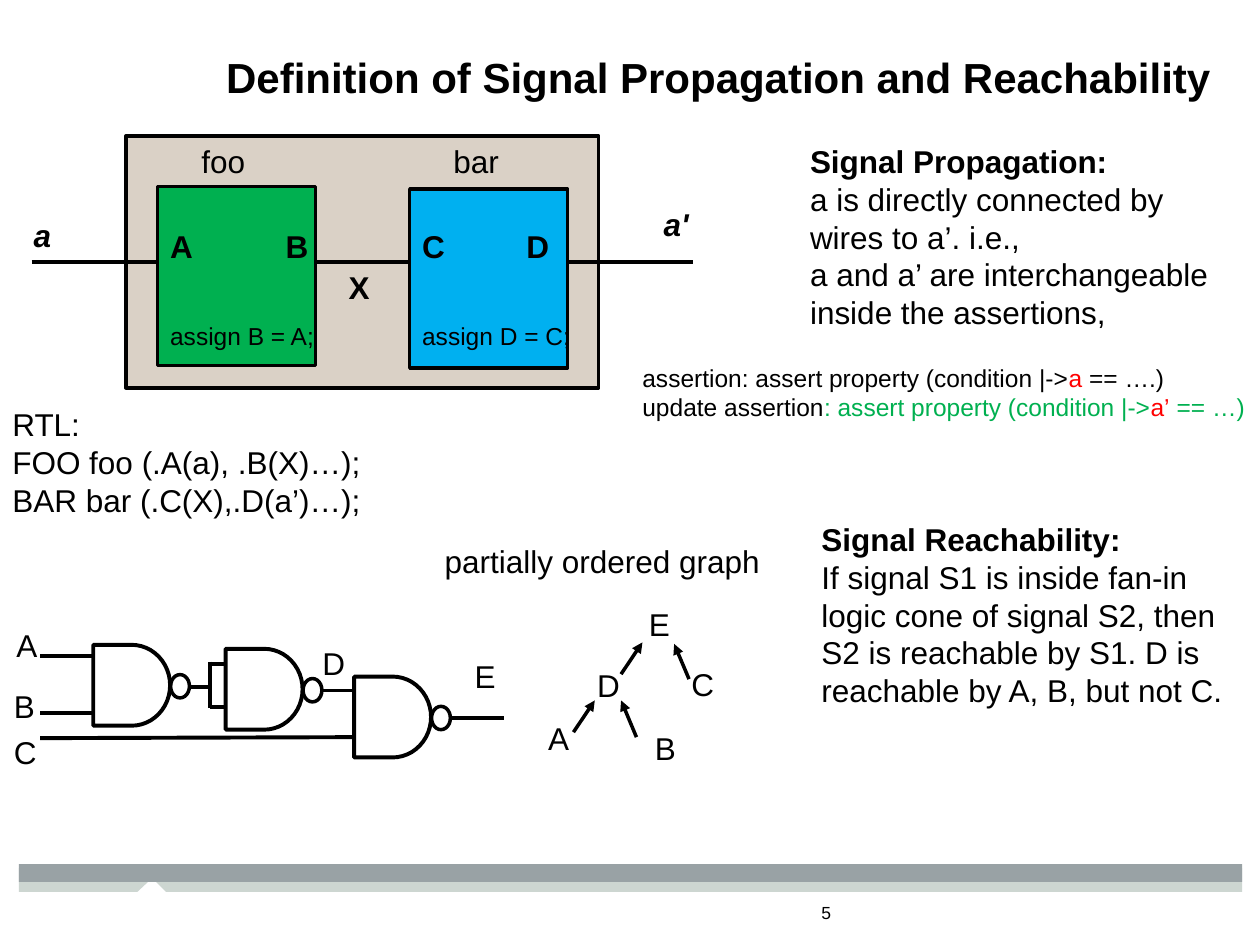
"""Build the slide on signal propagation and reachability."""
from dataclasses import dataclass

from lxml.etree import SubElement
from pptx import Presentation
from pptx.dml.color import RGBColor
from pptx.enum.shapes import MSO_CONNECTOR as Link, MSO_SHAPE as Form
from pptx.enum.text import MSO_AUTO_SIZE as Fit, PP_ALIGN as Align
from pptx.oxml.ns import qn
from pptx.util import Cm, Pt

COLORS = {
    "black": "000000", "red": "FF0000", "green": "00B050", "blue": "00B0F0",
    "sand": "DAD1C6", "bar": "99A2A5", "band": "CDD6D1",
}


@dataclass
class Span:
    text: str
    color: str = "black"
    bold: bool = False
    italic: bool = False


@dataclass
class Label:
    left: float
    top: float
    width: float
    height: float
    lines: list[list[Span]]
    size: float = 18
    align: Align = Align.LEFT
    spacing: float = 1.0
    right_inset: float = 0.25


@dataclass
class Block:
    left: float
    top: float
    width: float
    height: float
    fill: str | None = None
    line: float | None = 2
    form: Form = Form.RECTANGLE


@dataclass
class Wire:
    x1: float
    y1: float
    x2: float
    y2: float
    weight: float = 2.25
    arrow: bool = False


def color(name: str) -> RGBColor:
    """Look up a named colour."""
    return RGBColor.from_string(COLORS[name])


def draw_label(page, label: Label) -> None:
    """Add a text box, run by run."""
    box = page.shapes.add_textbox(
        Cm(label.left), Cm(label.top), Cm(label.width), Cm(label.height))
    frame = box.text_frame
    frame.word_wrap = True
    frame.auto_size = Fit.NONE
    frame.margin_right = Cm(label.right_inset)
    for index, spans in enumerate(label.lines):
        para = frame.add_paragraph() if index else frame.paragraphs[0]
        para.alignment = label.align
        para.line_spacing = label.spacing
        for span in spans:
            run = para.add_run()
            run.text = span.text
            run.font.name = "Arial"
            run.font.size = Pt(label.size)
            run.font.bold = span.bold
            run.font.italic = span.italic
            run.font.color.rgb = color(span.color)


def draw_block(page, block: Block) -> None:
    """Add a preset shape."""
    shape = page.shapes.add_shape(
        block.form, Cm(block.left), Cm(block.top), Cm(block.width), Cm(block.height))
    shape.shadow.inherit = False
    if block.fill:
        shape.fill.solid()
        shape.fill.fore_color.rgb = color(block.fill)
    else:
        shape.fill.background()
    if block.line:
        shape.line.color.rgb = color("black")
        shape.line.width = Pt(block.line)
    else:
        shape.line.fill.background()


def draw_wire(page, wire: Wire) -> None:
    """Add a straight line, with an arrowhead at its end if asked."""
    link = page.shapes.add_connector(
        Link.STRAIGHT, Cm(wire.x1), Cm(wire.y1), Cm(wire.x2), Cm(wire.y2))
    link.line.color.rgb = color("black")
    link.line.width = Pt(wire.weight)
    if wire.arrow:
        SubElement(link.line._get_or_add_ln(), qn("a:tailEnd"), type="triangle")
    SubElement(link._element.spPr, qn("a:effectLst"))


def draw_gate(page, left: float, top: float) -> None:
    """Add a NAND gate: its body and its output bubble."""
    draw_block(page, Block(left, top, 1.55, 1.63, line=2.25, form=Form.FLOWCHART_DELAY))
    draw_block(page, Block(left + 1.56, top + 0.6, 0.38, 0.47, form=Form.OVAL))


def draw_band(page, left: float, right: float, notch: float) -> None:
    """Add a footer band with a notch in its lower edge."""
    top, bottom = 17.5, 17.98
    points = [(right, top), (right, bottom), (notch + 0.28, bottom), (notch, 17.7),
              (notch - 0.3, bottom), (left, bottom), (left, top)]
    corners = [(Cm(x), Cm(y)) for x, y in points]
    builder = page.shapes.build_freeform(*corners[0], scale=1.0)
    builder.add_line_segments(corners[1:], close=True)
    band = builder.convert_to_shape()
    band.shadow.inherit = False
    band.fill.solid()
    band.fill.fore_color.rgb = color("band")
    band.line.fill.background()


def plain(*texts: str) -> list[list[Span]]:
    """Make one plain line of each text."""
    return [[Span(text)] for text in texts]


def headed(heading: str, *texts: str) -> list[list[Span]]:
    """Make a bold heading followed by plain lines."""
    return [[Span(heading, bold=True)], *plain(*texts)]


BLOCKS = [
    Block(2.54, 2.74, 9.53, 5.08, "sand"),
    Block(3.18, 3.76, 3.18, 3.61, "green"),
    Block(8.26, 3.81, 3.18, 3.61, "blue"),
]
GATES = [(1.88, 13.0), (4.55, 13.08), (7.14, 13.64)]
WIRES = [
    *(Wire(x1, 5.28, x2, 5.28, 2) for x1, x2 in ((0.64, 3.18), (6.35, 8.26), (11.43, 13.97))),
    *(Wire(x1, y, x2, y) for x1, x2, y in (
        (0.81, 1.88, 13.23), (0.81, 1.88, 14.38), (3.81, 4.24, 13.84), (4.24, 4.55, 13.39),
        (4.24, 4.55, 14.25), (6.5, 7.11, 13.92), (9.09, 10.16, 14.48))),
    Wire(0.81, 14.88, 7.14, 14.86),
    Wire(4.24, 13.34, 4.24, 14.27),
    *(Wire(*ends, weight=2, arrow=True) for ends in (
        (11.56, 14.76, 11.99, 14.12), (12.52, 13.59, 12.95, 12.95),
        (13.89, 13.69, 13.59, 12.98), (12.83, 14.86, 12.52, 14.12))),
]
PORTS = [("A", 3.18, 4.45), ("B", 5.51, 4.45), ("C", 8.26, 4.45), ("D", 10.36, 4.45),
         ("X", 6.78, 5.28)]
NODES = [("A", 0.08, 12.5), ("B", 0.03, 13.72), ("C", 0.03, 14.66), ("D", 6.25, 12.85),
         ("E", 9.32, 13.13), ("E", 12.83, 12.07), ("D", 11.79, 13.31), ("C", 13.69, 13.28),
         ("A", 10.8, 14.38), ("B", 12.95, 14.58)]
ASSERTIONS = [
    [Span("assertion: assert property (condition |->"), Span("a", "red"), Span(" == ….)")],
    [Span("update assertion"), Span(": assert property (condition |->", "green"),
     Span("a’", "red"), Span(" == …)", "green")],
]
LABELS = [
    Label(0, 1.07, 24.66, 1.83, headed("Definition of Signal Propagation and Reachability"),
          24, Align.RIGHT, 0.85),
    Label(16.31, 18.06, 1.91, 0.86, plain("5"), 10),
    *(Label(left, top, 1.27, 1.07, [[Span(text, bold=True, italic=True)]])
      for text, left, top in (("a", 0.43, 4.24), ("a'", 13.13, 4.01))),
    *(Label(left, top, 1.27, 1.07, headed(text)) for text, left, top in PORTS),
    *(Label(left, top, 1.1, 1.02, plain(text)) for text, left, top in NODES),
    *(Label(left, 2.74, 1.8, 0.84, plain(text))
      for text, left in (("foo", 3.81), ("bar", 8.89))),
    *(Label(left, 6.35, 3.8, 1.07, plain(text), 14)
      for text, left in (("assign B = A;", 3.18), ("assign D = C;", 8.26))),
    Label(16.08, 2.74, 8.89, 4.65, headed(
        "Signal Propagation:", "a is directly connected by wires to a’. i.e.,",
        "a and a’ are interchangeable inside the assertions,")),
    Label(16.31, 10.36, 8.89, 4.65, headed(
        "Signal Reachability:", "If signal S1 is inside fan-in logic cone of signal S2, "
        "then S2 is reachable by S1. D is reachable by A, B, but not C.")),
    Label(8.46, 10.8, 7.36, 1.02, plain("partially ordered graph"), align=Align.CENTER),
    Label(12.7, 7.19, 12.7, 1.47, ASSERTIONS, 14, right_inset=0),
    Label(0, 8.05, 8, 2.11, plain(
        "RTL:", "FOO foo (.A(a), .B(X)…);", "BAR bar (.C(X),.D(a’)…);")),
]


def main() -> None:
    """Draw the page and save the deck."""
    deck = Presentation()
    deck.slide_width, deck.slide_height = Cm(25.4), Cm(19.05)
    page = deck.slides.add_slide(deck.slide_layouts[6])
    draw_band(page, 3.84, 25.04, 6.48)
    draw_band(page, 0.38, 22.17, 3.07)
    draw_block(page, Block(0.38, 17.42, 24.66, 0.36, "bar", None))
    for block in BLOCKS:
        draw_block(page, block)
    for left, top in GATES:
        draw_gate(page, left, top)
    for wire in WIRES:
        draw_wire(page, wire)
    for label in LABELS:
        draw_label(page, label)
    deck.save("out.pptx")


if __name__ == "__main__":
    main()
